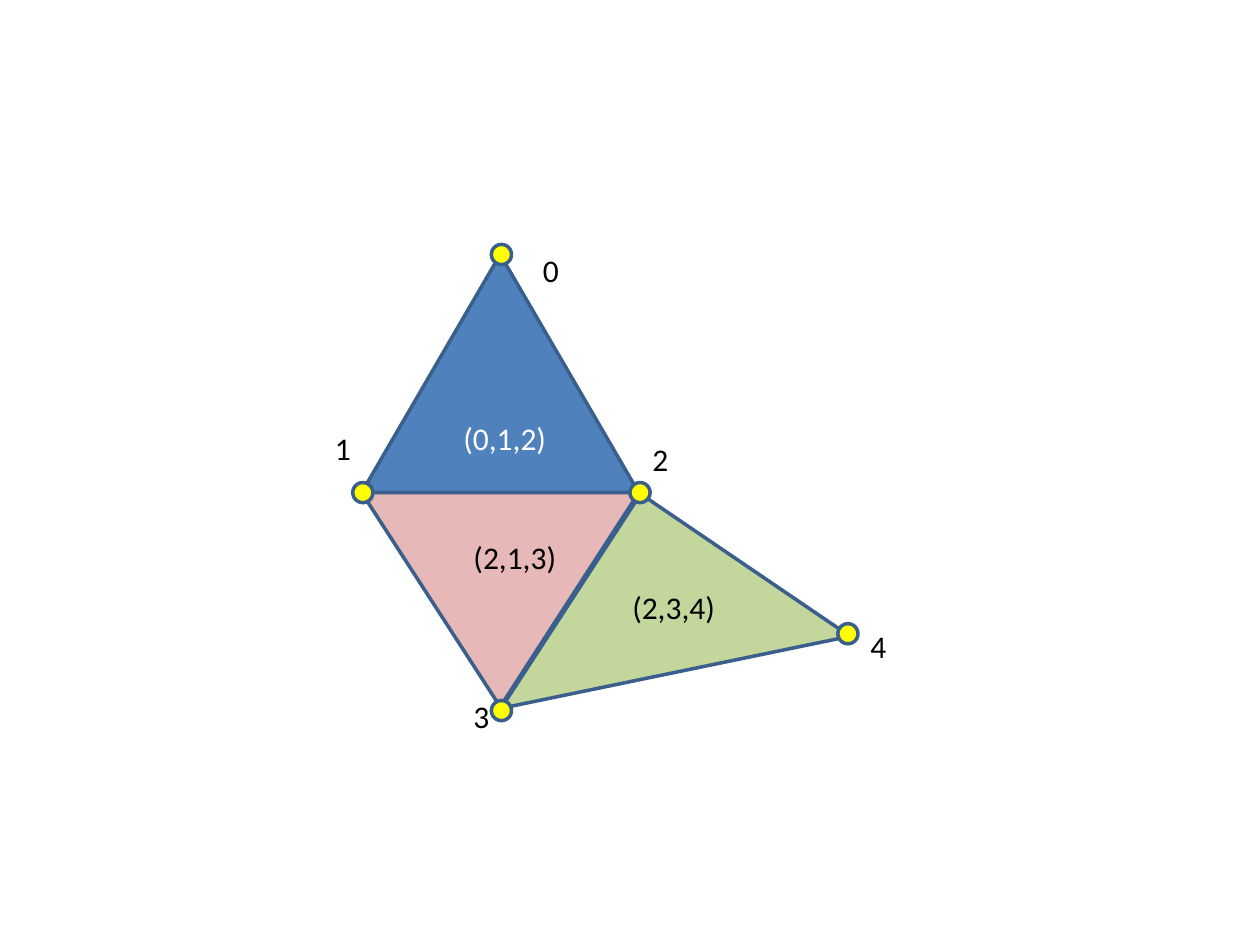
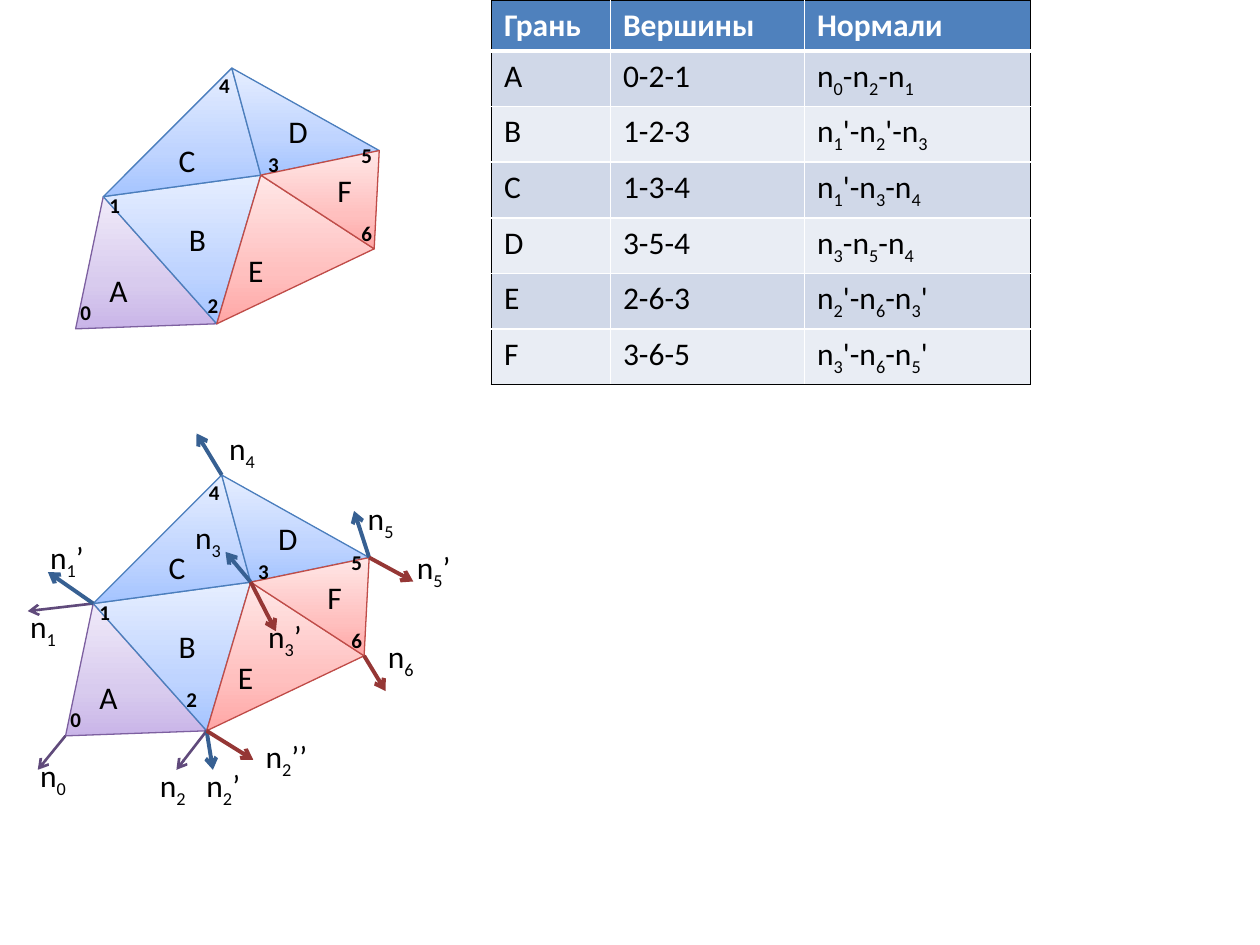
import copy
import itertools

import pptx
import pptx.util
import pptx.dml.color
import pptx.enum.shapes
import pptx.enum.text
import pptx.oxml
import pptx.oxml.ns

CELL = pptx.util.Inches(0.1)
COLS, ROWS = 100, 75
FONT = "Calibri"
SHAPE = pptx.enum.shapes.MSO_SHAPE
C = {
    "black": "000000", "white": "FFFFFF", "yellow": "FFFF00",
    "blue": "4F81BD", "pink": "E6B9B8", "green": "C3D69B", "outline": "3A5F8C",
    "band_dark": "D0D8E8", "band_light": "E9EDF4",
    "purple_arrow": "604A7B", "blue_arrow": "376092", "red_arrow": "953735",
}
GROUPS = {
    "purple": ("7D60A0", ("C9B5E8", "D8CBEE", "F0EAF9")),
    "blue": ("4B7EBC", ("A4C4FF", "BFD4FF", "E6EEFF")),
    "red": ("BF4C48", ("FFA6A5", "FFC0BF", "FFE7E7")),
}
STOPS = (0, 0.35, 1)
ARROW_WIDTHS = {"purple": 1.5, "blue": 2.25, "red": 2.25}

MESH = [(6, 26.1), (8.2, 15.6), (17.2, 25.7), (20.7, 13.9),
        (18.4, 5.4), (30.1, 11.95), (29.7, 19.75)]
FACES = [
    ("A", (0, 1, 2), "purple", (7.7, 21)),
    ("B", (1, 2, 3), "blue", (14, 17)),
    ("E", (2, 3, 6), "red", (18.7, 19.4)),
    ("C", (1, 3, 4), "blue", (13.2, 10.7)),
    ("D", (4, 3, 5), "blue", (21.9, 8.4)),
    ("F", (3, 6, 5), "red", (25.8, 13.1)),
]
INDEX_LABELS = [(5.4, 23.3), (7.7, 14.8), (15.5, 22.7), (20.3, 11.5),
                (16.4, 5.3), (27.7, 10.8), (27.7, 17)]
LOWER_SHIFT = (-0.8, 32.3)
NORMALS = [
    ("n0", 0, (-2.2, 2.7), "purple", (2.2, 59.5)),
    ("n1", 1, (-5.2, 0.6), "purple", (1.4, 47.7)),
    ("n2", 2, (-2.4, 3.1), "purple", (11.7, 60.3)),
    ("n1’", 1, (-3.6, -2.5), "blue", (3, 42.2)),
    ("n4", 4, (-2, -3.3), "blue", (17.2, 33.6)),
    ("n3", 3, (-2, -2.4), "blue", (14.5, 40.6)),
    ("n5", 5, (-1.2, -3.7), "blue", (28.2, 39.1)),
    ("n2’", 2, (0.5, 3.1), "blue", (15.4, 60.3)),
    ("n2’’", 2, (3.7, 2.3), "red", (20.1, 58)),
    ("n6", 6, (1.7, 2.8), "red", (29.8, 50.1)),
    ("n3’", 3, (2, 3.9), "red", (20.3, 48.5)),
    ("n5’", 5, (3.5, 1.9), "red", (32.1, 43)),
]
TABLE = [
    ("Грань", "Вершины", "Нормали"),
    ("A", "0-2-1", "n0-n2-n1"),
    ("B", "1-2-3", "n1'-n2'-n3"),
    ("C", "1-3-4", "n1'-n3-n4"),
    ("D", "3-5-4", "n3-n5-n4"),
    ("E", "2-6-3", "n2'-n6-n3'"),
    ("F", "3-6-5", "n3'-n6-n5'"),
]


def grid(*values):
    return [pptx.util.Emu(round(v * CELL)) for v in values]


def shifted(point, shift):
    return point[0] + shift[0], point[1] + shift[1]


def rgb(value):
    return pptx.dml.color.RGBColor.from_string(value)


def set_line(line, color, width):
    line.color.rgb = rgb(color)
    line.width = pptx.util.Pt(width)


def write(p, text, size=18, color="black", bold=False):
    if text.startswith("n"):
        for _, part in itertools.groupby(text, str.isdigit):
            r = p.add_run()
            r.text = "".join(part)
            if r.text.isdigit():
                r.font._element.set("baseline", "-25000")
    else:
        p.text = text
    for r in p.runs:
        r.font.name = FONT
        r.font.size = pptx.util.Pt(size)
        r.font.bold = bold
        r.font.color.rgb = rgb(C[color])


def add_label(s, text, at, width, height=4, **style):
    sp = s.shapes.add_textbox(*grid(*at, width, height))
    tf = sp.text_frame
    tf.word_wrap = False
    tf.auto_size = pptx.enum.text.MSO_AUTO_SIZE.SHAPE_TO_FIT_TEXT
    write(tf.paragraphs[0], text, **style)


def add_figure(s, kind, box, fill, rotation=0, flip=False):
    sp = s.shapes.add_shape(kind, *grid(*box))
    sp.shadow.inherit = False
    sp.fill.solid()
    sp.fill.fore_color.rgb = rgb(C[fill])
    set_line(sp.line, C["outline"], 2)
    sp.rotation = rotation
    if flip:
        sp._element.spPr.find(pptx.oxml.ns.qn("a:xfrm")).set("flipV", "1")
    return sp


def add_face(s, points, group):
    line, colors = GROUPS[group]
    start, *rest = [grid(*point) for point in points]
    builder = s.shapes.build_freeform(*start)
    builder.add_line_segments(rest, close=True)
    sp = builder.convert_to_shape()
    sp.shadow.inherit = False
    set_line(sp.line, line, 0.75)
    sp.fill.gradient()
    sp.fill.gradient_angle = 90
    stops = sp._element.spPr.find(".//" + pptx.oxml.ns.qn("a:gsLst"))
    stops.append(copy.deepcopy(stops[0]))
    for stop, position, color in zip(sp.fill.gradient_stops, STOPS, colors):
        stop.position = position
        stop.color.rgb = rgb(color)


def add_arrow(s, start, end, group):
    sp = s.shapes.add_connector(pptx.enum.shapes.MSO_CONNECTOR.STRAIGHT, *grid(*start, *end))
    set_line(sp.line, C[group + "_arrow"], ARROW_WIDTHS[group])
    pptx.oxml.ns.qn("a:ln")
    ln = sp.line._get_or_add_ln()
    ln.append(ln.makeelement(pptx.oxml.ns.qn("a:tailEnd"), {"type": "arrow"}))
    sp_pr = sp._element.spPr
    sp_pr.append(sp_pr.makeelement(pptx.oxml.ns.qn("a:effectLst"), {}))


def add_mesh(s, shift=(0, 0), moved_labels=None):
    vertices = [shifted(point, shift) for point in MESH]
    for _, corners, group, _ in FACES:
        add_face(s, [vertices[i] for i in corners], group)
    for i, at in enumerate(INDEX_LABELS):
        at = (moved_labels or {}).get(i, shifted(at, shift))
        add_label(s, str(i), at, 2.9, 3, size=12, bold=True)
    for name, _, _, at in FACES:
        add_label(s, name, shifted(at, shift), 3.5)
    return vertices


def set_borders(cell, borders):
    tc_pr = cell._tc.get_or_add_tcPr()
    for side, (color, width) in borders.items():
        tc_pr.append(pptx.oxml.parse_xml(
            f'<a:ln{side} {pptx.oxml.ns.nsdecls("a")} w="{pptx.util.Pt(width)}">'
            f'<a:solidFill><a:srgbClr val="{C[color]}"/></a:solidFill></a:ln{side}>'))


def add_faces_table(s, at, widths, row_height):
    last_row, last_col = len(TABLE) - 1, len(widths) - 1
    frame = s.shapes.add_table(len(TABLE), len(widths),
                               *grid(*at, sum(widths), row_height * len(TABLE)))
    table = frame.table
    for column, width in zip(table.columns, grid(*widths)):
        column.width = width
    for i, j in itertools.product(range(last_row + 1), range(last_col + 1)):
        cell = table.cell(i, j)
        outer = {"L": j == 0, "R": j == last_col, "T": i == 0, "B": i == last_row}
        borders = {side: ("black" if edge else "white", 1) for side, edge in outer.items()}
        if i == 0:
            borders["B"] = ("white", 3)
        if i == 1:
            borders["T"] = ("white", 3)
        set_borders(cell, borders)
        cell.fill.solid()
        fill = "blue" if i == 0 else "band_dark" if i % 2 else "band_light"
        cell.fill.fore_color.rgb = rgb(C[fill])
        write(cell.text_frame.paragraphs[0], TABLE[i][j],
              color="white" if i == 0 else "black", bold=i == 0)


def build_indexed_triangles(s):
    add_figure(s, SHAPE.ISOSCELES_TRIANGLE, (28.7, 20.2, 22, 18.9), "blue")
    add_figure(s, SHAPE.ISOSCELES_TRIANGLE, (28.7, 39.1, 22, 17), "pink", flip=True)
    sp = add_figure(s, SHAPE.ISOSCELES_TRIANGLE, (43.4, 43.1, 20.1, 20.3), "green",
                    rotation=34.2, flip=True)
    sp.adjustments[0] = 0.02
    size = 1.6
    for at in [(39, 19.4), (28, 38.3), (50, 38.3), (39, 55.6), (66.5, 49.5)]:
        add_figure(s, SHAPE.OVAL, (*at, size, size), "yellow")
    label_places = [(42.1, 19.4), (25.6, 33.6), (50.8, 34.4), (36.6, 54.8), (68.1, 49.3)]
    for i, at in enumerate(label_places):
        add_label(s, str(i), at, 3.3)
    for text, at, color in [("(0,1,2)", (35.8, 32.8), "white"),
                            ("(2,1,3)", (36.6, 42.2), "black"),
                            ("(2,3,4)", (49.2, 46.2), "black")]:
        add_label(s, text, at, 8.7, color=color)


def build_normals(s):
    add_mesh(s)
    add_faces_table(s, (39, 0), (9.45, 15.4, 17.95), 4.05)
    vertices = add_mesh(s, LOWER_SHIFT, {2: (13.8, 54)})
    for text, i, delta, group, at in NORMALS:
        add_arrow(s, vertices[i], shifted(vertices[i], delta), group)
        add_label(s, text, at, 4.2 + 0.65 * text.count("’"))


def main():
    prs = pptx.Presentation()
    prs.slide_width, prs.slide_height = grid(COLS, ROWS)
    for build in (build_indexed_triangles, build_normals):
        build(prs.slides.add_slide(prs.slide_layouts[6]))
    prs.save("out.pptx")


if __name__ == "__main__":
    main()
